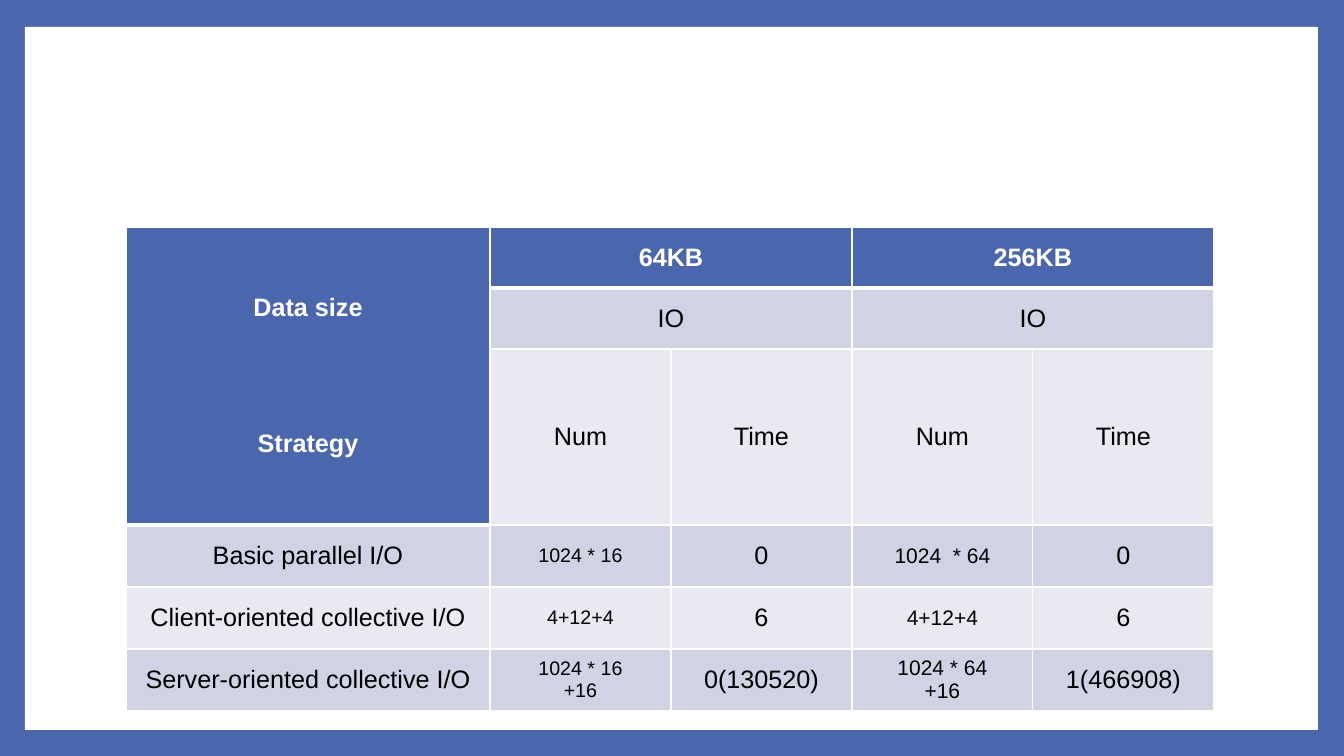
from dataclasses import dataclass

from lxml import etree
from pptx import Presentation
from pptx.dml.color import RGBColor
from pptx.enum.shapes import MSO_SHAPE
from pptx.enum.text import MSO_ANCHOR, PP_ALIGN
from pptx.oxml.ns import qn
from pptx.util import Emu, Pt

RECTANGLE = MSO_SHAPE.RECTANGLE
MIDDLE = MSO_ANCHOR.MIDDLE
CENTER = PP_ALIGN.CENTER

EMU_PER_INCH = 914400
PX_PER_INCH = 100.8

BLUE = RGBColor(0x4A, 0x66, 0xAC)
WHITE = RGBColor(0xFF, 0xFF, 0xFF)
BLACK = RGBColor(0x00, 0x00, 0x00)
BAND_DARK = RGBColor(0xD0, 0xD3, 0xE3)
BAND_LIGHT = RGBColor(0xE9, 0xEA, 0xF1)

COLUMN_WIDTHS = [364, 181, 181, 181, 181]
ROW_HEIGHTS = [61, 61, 176, 62, 62, 62]
BANDS = [BLUE, BAND_DARK, BAND_LIGHT, BAND_DARK, BAND_LIGHT, BAND_DARK]
RESULT_SIZES = [18, 14, 18, 15, 18]
STRATEGY_GAP = 77
THIN, THICK = 1, 3


@dataclass(frozen=True)
class Entry:
    row: int
    column: int
    lines: tuple[str, ...]
    size: int = 18
    row_span: int = 1
    column_span: int = 1
    gap: int = 0


HEADINGS = [
    Entry(0, 0, ("Data size", "Strategy"), row_span=3, gap=STRATEGY_GAP),
    Entry(0, 1, ("64KB",), column_span=2),
    Entry(0, 3, ("256KB",), column_span=2),
    Entry(1, 1, ("IO",), column_span=2),
    Entry(1, 3, ("IO",), column_span=2),
    *(Entry(2, column, (("Num", "Time")[(column - 1) % 2],)) for column in range(1, 5)),
]
RESULTS = [
    ("Basic parallel I/O", "1024 * 16", "0", "1024  * 64", "0"),
    ("Client-oriented collective I/O", "4+12+4", "6", "4+12+4", "6"),
    ("Server-oriented collective I/O", "1024 * 16\n+16", "0(130520)",
     "1024 * 64\n+16", "1(466908)"),
]
RESULT_ENTRIES = [
    Entry(row, column, tuple(text.split("\n")), RESULT_SIZES[column])
    for row, result in enumerate(RESULTS, start=3)
    for column, text in enumerate(result)
]


def px(length: int) -> Emu:
    return Emu(round(length * EMU_PER_INCH / PX_PER_INCH))


def is_heading(row: int, column: int) -> bool:
    return row == 0 or (column == 0 and row < 3)


def apply_format(target, values: dict) -> None:
    for name, value in values.items():
        setattr(target, name, value)


def draw_borders(cell, widths: dict[str, int]) -> None:
    properties = cell._tc.get_or_add_tcPr()
    for side, width in widths.items():
        line = etree.SubElement(properties, qn(f"a:{side}"), w=str(Pt(width)))
        fill = etree.SubElement(line, qn("a:solidFill"))
        etree.SubElement(fill, qn("a:srgbClr"), val=str(WHITE))


def style_cell(cell, row: int, column: int) -> None:
    heading = is_heading(row, column)
    widths = {"lnL": THIN, "lnR": THIN}
    if row == 0:
        widths["lnT"] = THIN
    widths["lnB"] = THICK if heading else THIN
    draw_borders(cell, widths)
    cell.fill.solid()
    cell.fill.fore_color.rgb = BLUE if heading else BANDS[row]
    cell.vertical_anchor = MIDDLE


def write_entry(table, entry: Entry) -> None:
    cell = table.cell(entry.row, entry.column)
    if entry.row_span > 1 or entry.column_span > 1:
        cell.merge(table.cell(entry.row + entry.row_span - 1,
                              entry.column + entry.column_span - 1))
    heading = is_heading(entry.row, entry.column)
    cell.text_frame.text = "\n".join(entry.lines)
    for index, paragraph in enumerate(cell.text_frame.paragraphs):
        paragraph.alignment = CENTER
        if index and entry.gap:
            paragraph.space_before = Pt(entry.gap)
        for run in paragraph.runs:
            apply_format(run.font, {"name": "Arial", "size": Pt(entry.size), "bold": heading})
            run.font.color.rgb = WHITE if heading else BLACK


def draw_panel(slide) -> None:
    panel = slide.shapes.add_shape(RECTANGLE, px(25), px(27), px(1293), px(703))
    panel.shadow.inherit = False
    panel.fill.solid()
    panel.fill.fore_color.rgb = WHITE
    panel.line.fill.background()


def draw_comparison(slide) -> None:
    table = slide.shapes.add_table(
        len(ROW_HEIGHTS), len(COLUMN_WIDTHS), px(126), px(227),
        px(sum(COLUMN_WIDTHS)), px(sum(ROW_HEIGHTS))).table
    for column, width in zip(table.columns, COLUMN_WIDTHS):
        column.width = px(width)
    for row, height in zip(table.rows, ROW_HEIGHTS):
        row.height = px(height)
    for row in range(len(ROW_HEIGHTS)):
        for column in range(len(COLUMN_WIDTHS)):
            style_cell(table.cell(row, column), row, column)
    for entry in HEADINGS + RESULT_ENTRIES:
        write_entry(table, entry)


def main() -> None:
    presentation = Presentation()
    apply_format(presentation, {"slide_width": px(1344), "slide_height": px(756)})
    slide = presentation.slides.add_slide(presentation.slide_layouts[6])
    slide.background.fill.solid()
    slide.background.fill.fore_color.rgb = BLUE
    draw_panel(slide)
    draw_comparison(slide)
    presentation.save("out.pptx")


if __name__ == "__main__":
    main()
